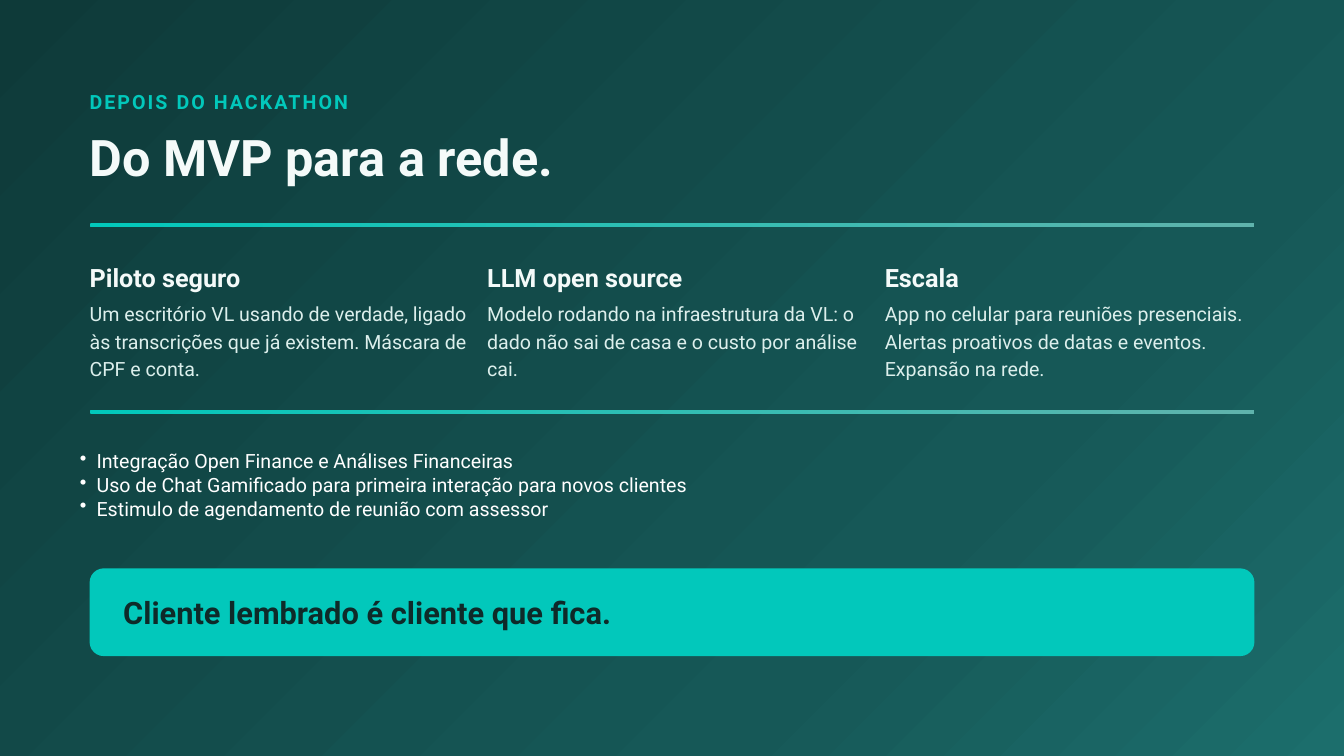
from copy import deepcopy

from lxml.etree import SubElement
from pptx import Presentation
from pptx.dml.color import RGBColor
from pptx.enum.shapes import MSO_SHAPE
from pptx.enum.text import MSO_ANCHOR, MSO_AUTO_SIZE, PP_ALIGN
from pptx.oxml.ns import qn
from pptx.util import Pt

FONT = "Roboto"
TEAL = "02C8BB"
SOFT_TEAL = "5FB3AC"
NIGHT = "0E3A39"
WHITE = "F4FAF9"
MIST = "DCEFEC"

SLIDE_WIDTH, SLIDE_HEIGHT = 1440, 810
LEFT, CONTENT_WIDTH = 96, 1248
COLUMN_STEP, COLUMN_WIDTH = 426, 408

COLUMNS = [
    ("Piloto seguro",
     "Um escritório VL usando de verdade, ligado às transcrições que já existem. "
     "Máscara de CPF e conta."),
    ("LLM open source",
     "Modelo rodando na infraestrutura da VL: o dado não sai de casa e o custo "
     "por análise cai."),
    ("Escala",
     "App no celular para reuniões presenciais. Alertas proativos de datas e "
     "eventos. Expansão na rede."),
]
NEXT_STEPS = [
    "Integração Open Finance e Análises Financeiras",
    "Uso de Chat Gamificado para primeira interação para novos clientes",
    "Estimulo de agendamento de reunião com assessor",
]


def color(hex_string):
    return RGBColor.from_string(hex_string)


def place(shape, left, top, width, height):
    shape.left, shape.top = Pt(left), Pt(top)
    shape.width, shape.height = Pt(width), Pt(height)


def add_bullet(paragraph):
    properties = paragraph._p.get_or_add_pPr()
    properties.set("marL", str(Pt(36)))
    properties.set("indent", str(-Pt(18)))
    SubElement(properties, qn("a:buChar")).set("char", "•")


def write(shape, lines, size, hex_string, spacing, bold=False, bullets=False):
    """Fill a text shape with one paragraph per line."""
    frame = shape.text_frame
    frame.word_wrap = True
    frame.auto_size = MSO_AUTO_SIZE.NONE
    frame.vertical_anchor = MSO_ANCHOR.TOP
    frame.margin_left = frame.margin_top = 0
    frame.margin_right = frame.margin_bottom = 0
    frame.text = "\n".join(lines)
    for paragraph in frame.paragraphs:
        paragraph.alignment = PP_ALIGN.LEFT
        paragraph.line_spacing = Pt(spacing)
        if bullets:
            add_bullet(paragraph)
        font = paragraph.font
        font.name, font.size, font.bold = FONT, Pt(size), bold
        font.color.rgb = color(hex_string)


def add_text(slide, box, lines, size, hex_string, spacing, **style):
    shape = slide.shapes.add_textbox(0, 0, 0, 0)
    place(shape, *box)
    write(shape, lines, size, hex_string, spacing, **style)
    return shape


def add_panel(slide, kind, box):
    shape = slide.shapes.add_shape(kind, 0, 0, 0, 0)
    place(shape, *box)
    shape.shadow.inherit = False
    shape.line.fill.background()
    return shape


def fill_gradient(shape, stops, angle):
    """Fill with (position, colour) stops; the angle runs counter-clockwise."""
    shape.fill.gradient()
    shape.fill.gradient_angle = angle
    stop_list = shape._element.spPr.find(".//" + qn("a:gsLst"))
    while len(stop_list) < len(stops):
        stop_list.append(deepcopy(stop_list[-1]))
    for stop, (position, hex_string) in zip(shape.fill.gradient_stops, stops):
        stop.position = position
        stop.color.rgb = color(hex_string)


def add_background(slide):
    slide.background.fill.solid()
    slide.background.fill.fore_color.rgb = color(NIGHT)
    panel = add_panel(slide, MSO_SHAPE.RECTANGLE, (0, 0, SLIDE_WIDTH, SLIDE_HEIGHT))
    fill_gradient(panel, [(0, NIGHT), (0.7, "165857"), (1, "1C6E6C")], 315)
    # Send behind the title placeholder
    slide.shapes._spTree.insert(2, panel._element)


def add_rule(slide, top):
    rule = add_panel(slide, MSO_SHAPE.ROUNDED_RECTANGLE, (LEFT, top, CONTENT_WIDTH, 4.5))
    rule.adjustments[0] = 0.5
    fill_gradient(rule, [(0, TEAL), (1, SOFT_TEAL)], 0)


def add_header(slide):
    eyebrow = add_text(slide, (LEFT, 92, 1285, 36), ["DEPOIS DO HACKATHON"],
                       21, TEAL, 29.4, bold=True)
    run = eyebrow.text_frame.paragraphs[0].runs[0]
    run._r.get_or_add_rPr().set("spc", "220")
    title = slide.shapes.title
    place(title, LEFT, 141, 1285, 58)
    write(title, ["Do MVP para a rede."], 54, WHITE, 59.4, bold=True)


def add_column(slide, index, heading, body):
    left = LEFT + index * COLUMN_STEP
    add_text(slide, (left, 281.5, COLUMN_WIDTH, 36), [heading], 27, WHITE, 32.4, bold=True)
    add_text(slide, (left, 319.5, COLUMN_WIDTH, 95), [body], 21, MIST, 29.4)


def add_closing(slide):
    banner = add_panel(slide, MSO_SHAPE.ROUNDED_RECTANGLE, (LEFT, 609, CONTENT_WIDTH, 94))
    banner.adjustments[0] = 0.16
    banner.fill.solid()
    banner.fill.fore_color.rgb = color(TEAL)
    add_text(slide, (132, 636, 998, 43), ["Cliente lembrado é cliente que fica."],
             33, "0E2A29", 39.6, bold=True)


def main():
    presentation = Presentation()
    presentation.slide_width, presentation.slide_height = Pt(SLIDE_WIDTH), Pt(SLIDE_HEIGHT)
    slide = presentation.slides.add_slide(presentation.slide_layouts[5])

    add_background(slide)
    add_header(slide)

    # Three columns between two rules
    add_rule(slide, 239)
    for index, (heading, body) in enumerate(COLUMNS):
        add_column(slide, index, heading, body)
    add_rule(slide, 439)

    # Next steps and closing line
    add_text(slide, (67.5, 481.5, 671, 75), NEXT_STEPS, 21, "FFFFFF", 25.2, bullets=True)
    add_closing(slide)

    presentation.save("out.pptx")


if __name__ == "__main__":
    main()
